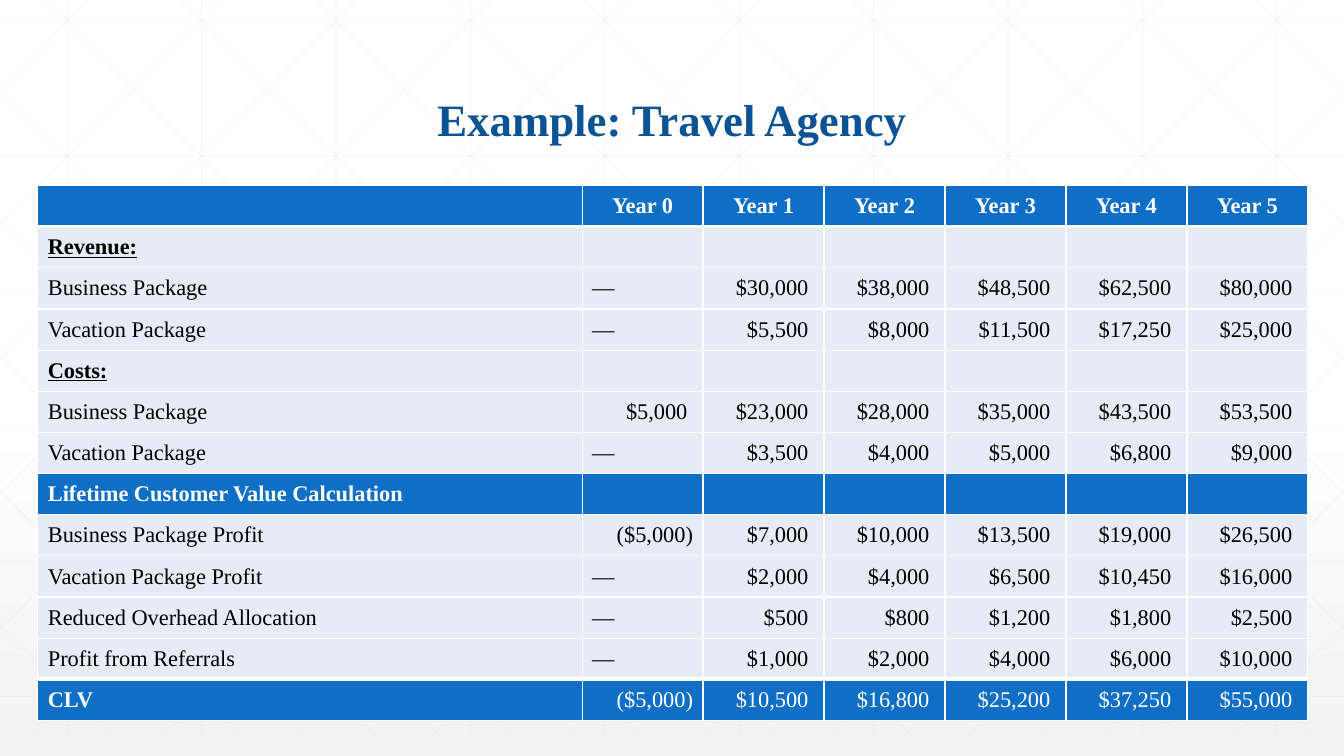
from lxml.etree import SubElement
from pptx import Presentation
from pptx.dml.color import RGBColor
from pptx.enum.shapes import MSO_CONNECTOR as Connector
from pptx.enum.text import MSO_ANCHOR as Anchor, PP_ALIGN as Align
from pptx.oxml.ns import qn
from pptx.util import Pt

WHITE = RGBColor(0xFF, 0xFF, 0xFF)
BLACK = RGBColor(0x00, 0x00, 0x00)
FOG = RGBColor(0xF2, 0xF2, 0xF2)
GRID_GRAY = RGBColor(0xD9, 0xD9, 0xD9)
NAVY = RGBColor(0x0B, 0x53, 0x95)
BLUE = RGBColor(0x0F, 0x6F, 0xC6)
PALE = RGBColor(0xE7, 0xEB, 0xF5)

WIDTH, HEIGHT = 960, 540
GRID_TOP, GRID_BOTTOM = -15, 525
SLOPE = 540 / 537  # drop of a diagonal per point across

YEARS = ["", *(f"Year {n}" for n in range(6))]
SECTIONS = ("Revenue:", "Costs:")
BANDS = ("", "Lifetime Customer Value Calculation", "CLV")
ROWS = [
    YEARS,
    ["Revenue:"],
    ["Business Package", "—", "$30,000", "$38,000", "$48,500", "$62,500", "$80,000"],
    ["Vacation Package", "—", "$5,500", "$8,000", "$11,500", "$17,250", "$25,000"],
    ["Costs:"],
    ["Business Package", "$5,000", "$23,000", "$28,000", "$35,000", "$43,500", "$53,500"],
    ["Vacation Package", "—", "$3,500", "$4,000", "$5,000", "$6,800", "$9,000"],
    ["Lifetime Customer Value Calculation"],
    ["Business Package Profit", "($5,000)", "$7,000", "$10,000", "$13,500", "$19,000", "$26,500"],
    ["Vacation Package Profit", "—", "$2,000", "$4,000", "$6,500", "$10,450", "$16,000"],
    ["Reduced Overhead Allocation", "—", "$500", "$800", "$1,200", "$1,800", "$2,500"],
    ["Profit from Referrals", "—", "$1,000", "$2,000", "$4,000", "$6,000", "$10,000"],
    ["CLV", "($5,000)", "$10,500", "$16,800", "$25,200", "$37,250", "$55,000"],
]


class SlideBuilder:
    """Holds the text style and the current slide."""

    font = "Times New Roman"

    def __init__(self, slide):
        self.slide = slide

    def background(self, start, end):
        fill = self.slide.background.fill
        fill.gradient()
        fill.gradient_angle = 270
        for stop, position, color in zip(fill.gradient_stops, (0.53, 1), (start, end)):
            stop.position = position
            stop.color.rgb = color

    def grid_line(self, x1, y1, x2, y2):
        line = self.slide.shapes.add_connector(
            Connector.STRAIGHT, Pt(x1), Pt(y1), Pt(x2), Pt(y2))
        line.line.width = Pt(0.5)
        line.line.color.rgb = GRID_GRAY
        properties = line._element.spPr
        color = properties.find(".//" + qn("a:srgbClr"))
        SubElement(color, qn("a:alpha"), val="25000")
        SubElement(properties, qn("a:effectLst"))

    def add_text(self, frame, text, color, align, **formats):
        paragraph = frame.paragraphs[0]
        paragraph.alignment = align
        run = paragraph.add_run()
        run.text = text
        for key, value in {"name": self.font, **formats}.items():
            setattr(run.font, key, value)
        run.font.color.rgb = color
        return paragraph

    def title(self, text, left, top, width, height):
        frame = self.slide.shapes.add_textbox(
            Pt(left), Pt(top), Pt(width), Pt(height)).text_frame
        frame.word_wrap = True
        frame.vertical_anchor = Anchor.BOTTOM
        heading = self.add_text(frame, text, NAVY, Align.CENTER, size=Pt(32), bold=True)
        heading.line_spacing = 0.9

    def borders(self, cell, **widths):
        properties = cell._tc.get_or_add_tcPr()
        for side, width in widths.items():
            edge = SubElement(properties, qn(f"a:ln{side}"), w=str(Pt(width)))
            paint = SubElement(edge, qn("a:solidFill"))
            SubElement(paint, qn("a:srgbClr"), val=str(WHITE))

    def table(self, rows, left, top, widths, row_height):
        frame = self.slide.shapes.add_table(
            len(rows), len(widths), Pt(left), Pt(top),
            Pt(sum(widths)), Pt(row_height * len(rows)))
        table = frame.table
        table.first_row = table.horz_banding = False
        for column, width in zip(table.columns, widths):
            column.width = Pt(width)
        thick = (1, len(rows) - 1)  # below the header and above the total
        for r, values in enumerate(rows):
            table.rows[r].height = Pt(row_height)
            for c in range(len(widths)):
                cell = table.cell(r, c)
                self.borders(cell, L=1, R=1, T=3 if r in thick else 1,
                             B=3 if r + 1 in thick else 1)
                cell.fill.solid()
                cell.fill.fore_color.rgb = BLUE if values[0] in BANDS else PALE
                cell.vertical_anchor = Anchor.MIDDLE
                if c < len(values) and values[c]:
                    self.cell_text(cell, values[c], values[0], c)

    def cell_text(self, cell, text, label, column):
        header = label == ""
        amount = text.startswith(("$", "("))
        align = Align.CENTER if header else Align.RIGHT if amount else Align.LEFT
        if text.startswith("$"):  # leave room for a closing bracket
            cell.margin_right = Pt(11.2)
        section = column == 0 and label in SECTIONS
        band_label = column == 0 and label in BANDS
        self.add_text(cell.text_frame, text, WHITE if label in BANDS else BLACK, align,
                      size=Pt(16), underline=section,
                      bold=header or section or band_label)


def main():
    deck = Presentation()
    deck.slide_width, deck.slide_height = Pt(WIDTH), Pt(HEIGHT)
    builder = SlideBuilder(deck.slides.add_slide(deck.slide_layouts[6]))
    builder.background(WHITE, FOG)

    # Upright and level grid lines
    for i in range(10):
        x = 48 + 96 * i
        builder.grid_line(x, GRID_TOP, x, GRID_BOTTOM)
    for i in range(6):
        y = 15 + 96.5 * i
        builder.grid_line(0, y, WIDTH, y)

    # Diagonals as seen from the left, each with its mirror image
    diagonals = []
    for i in range(10):
        x = 18 + 96 * i
        run = min(537, WIDTH - x)
        diagonals.append((x, GRID_TOP, x + run, GRID_TOP + run * SLOPE))
    for i in range(5):
        x = 78 + 95.2 * i
        diagonals.append((x, GRID_BOTTOM, 0, GRID_BOTTOM - x * SLOPE))
    for x1, y1, x2, y2 in diagonals:
        builder.grid_line(x1, y1, x2, y2)
        builder.grid_line(WIDTH - x1, y1, WIDTH - x2, y2)

    # Title and customer value table
    builder.title("Example: Travel Agency", 64, 18, 832, 90)
    builder.table(ROWS, 27, 132.5, [388.8] + [86.4] * 6, 29.4)

    deck.save("out.pptx")


if __name__ == "__main__":
    main()
